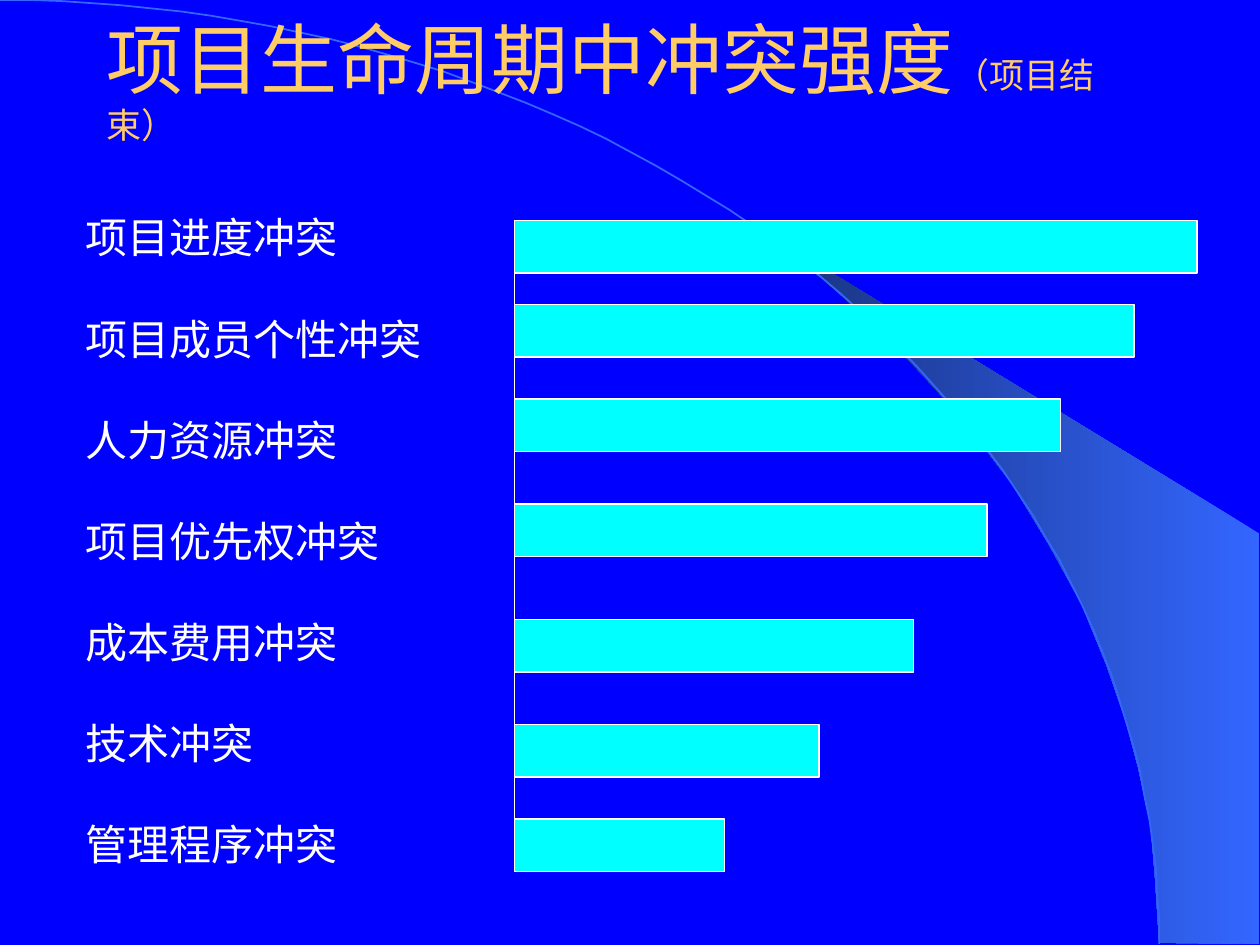
"""Build the slide on conflict intensity at the end of the project life cycle."""
import math
from dataclasses import dataclass

from lxml import etree
from pptx import Presentation
from pptx import util as u
from pptx.dml.color import RGBColor
from pptx.enum import shapes, text
from pptx.oxml.ns import qn

PX = 7620
COLORS = {"bg": "0000FF", "title": "FFCC66", "text": "FFFFFF", "bar": "00FFFF",
          "line": "FFFFFF", "arc": "3366FF", "shade": "172F75"}
AXIS_X, BAR_H = 490, 50
ARC_W, ARC_H, ARC_STEPS = 1104, 899, 60
WEDGE = [(1104, 898), (1199, 899), (1199, 508), (707, 208), (749, 239), (784, 266),
         (822, 300), (859, 336), (914, 396), (964, 461), (998, 517), (1030, 575),
         (1054, 634), (1072, 686), (1084, 731), (1096, 787), (1100, 835)]


@dataclass(frozen=True)
class Conflict:
    """A kind of conflict with the top and length of its bar."""
    label: str
    top: int
    length: int


@dataclass(frozen=True)
class Run:
    """A piece of text in one size."""
    text: str
    size: int


CONFLICTS = [
    Conflict("项目进度冲突", 210, 650),
    Conflict("项目成员个性冲突", 290, 590),
    Conflict("人力资源冲突", 380, 520),
    Conflict("项目优先权冲突", 480, 450),
    Conflict("成本费用冲突", 590, 380),
    Conflict("技术冲突", 690, 290),
    Conflict("管理程序冲突", 780, 200),
]
TITLE = [Run("项目生命周期中冲突强度", 44), Run("（项目结束）", 20)]


def px(n: int) -> u.Emu:
    """Turn px into EMU."""
    return u.Emu(n * PX)


def rgb(name: str) -> RGBColor:
    """Look up a named colour."""
    return RGBColor.from_string(COLORS[name])


def set_line(sp, name: str, width: float) -> None:
    """Give a shape a solid outline."""
    sp.line.color.rgb = rgb(name)
    sp.line.width = u.Pt(width)


def add_outline(s, points: list[tuple[int, int]], close: bool):
    """Draw a freeform through the points."""
    fb = s.shapes.build_freeform(*points[0], scale=PX)
    fb.add_line_segments(points[1:], close=close)
    sp = fb.convert_to_shape()
    sp.shadow.inherit = False
    return sp


def add_backdrop(s) -> None:
    """Draw the shaded wedge and the arc."""
    wedge = add_outline(s, WEDGE, True)
    wedge.line.fill.background()
    wedge.fill.gradient()
    wedge.fill.gradient_angle = 180
    for stop, position, name in zip(wedge.fill.gradient_stops, (0, 1), ("arc", "shade")):
        stop.position = position
        stop.color.rgb = rgb(name)
    angles = [math.pi / 2 * i / ARC_STEPS for i in range(ARC_STEPS + 1)]
    points = [(round(ARC_W * math.sin(a)), round(ARC_H * (1 - math.cos(a)))) for a in angles]
    arc = add_outline(s, points, False)
    arc.fill.background()
    set_line(arc, "arc", 1)


def add_text_frame(s, x: int, y: int, w: int, h: int, anchor):
    """Add a wrapping text box and return its frame."""
    tf = s.shapes.add_textbox(px(x), px(y), px(w), px(h)).text_frame
    tf.word_wrap = True
    tf.vertical_anchor = anchor
    return tf


def style_run(r, size: int, font: str, color: str) -> None:
    """Format a run."""
    r.font.size = u.Pt(size)
    r.font.name = font
    r.font.color.rgb = rgb(color)


def add_title(s, runs: list[Run]) -> None:
    """Write the title."""
    p = add_text_frame(s, 90, 0, 1020, 150, text.MSO_ANCHOR.MIDDLE).paragraphs[0]
    for run in runs:
        r = p.add_run()
        r.text = run.text
        style_run(r, run.size, "Arial", "title")


def add_labels(s, conflicts: list[Conflict]) -> None:
    """Write the labels as evenly spaced paragraphs."""
    tf = add_text_frame(s, 70, 196, 410, 924, text.MSO_ANCHOR.TOP)
    tf.text = "\n".join(c.label for c in conflicts)
    for i, p in enumerate(tf.paragraphs):
        if i:
            p.space_before = u.Pt(29)
        style_run(p.runs[0], 24, "Times New Roman", "text")


def add_axis(s, top: int, bottom: int) -> None:
    """Draw the vertical axis."""
    axis = s.shapes.add_connector(shapes.MSO_CONNECTOR.STRAIGHT,
                                  px(AXIS_X), px(top), px(AXIS_X), px(bottom))
    set_line(axis, "line", 0.75)
    etree.SubElement(axis._element.spPr, qn("a:effectLst"))


def add_bar(s, c: Conflict) -> None:
    """Draw the bar of one conflict."""
    sp = s.shapes.add_shape(shapes.MSO_SHAPE.RECTANGLE,
                            px(AXIS_X), px(c.top), px(c.length), px(BAR_H))
    sp.shadow.inherit = False
    sp.fill.solid()
    sp.fill.fore_color.rgb = rgb("bar")
    set_line(sp, "line", 0.75)


def main() -> None:
    """Build and save the slide."""
    prs = Presentation()
    prs.slide_width, prs.slide_height = px(1200), px(900)
    s = prs.slides.add_slide(prs.slide_layouts[6])
    s.background.fill.solid()
    s.background.fill.fore_color.rgb = rgb("bg")
    add_backdrop(s)
    add_title(s, TITLE)
    add_labels(s, CONFLICTS)
    add_axis(s, CONFLICTS[0].top, CONFLICTS[-1].top + BAR_H)
    for c in CONFLICTS:
        add_bar(s, c)
    prs.save("out.pptx")


if __name__ == "__main__":
    main()
